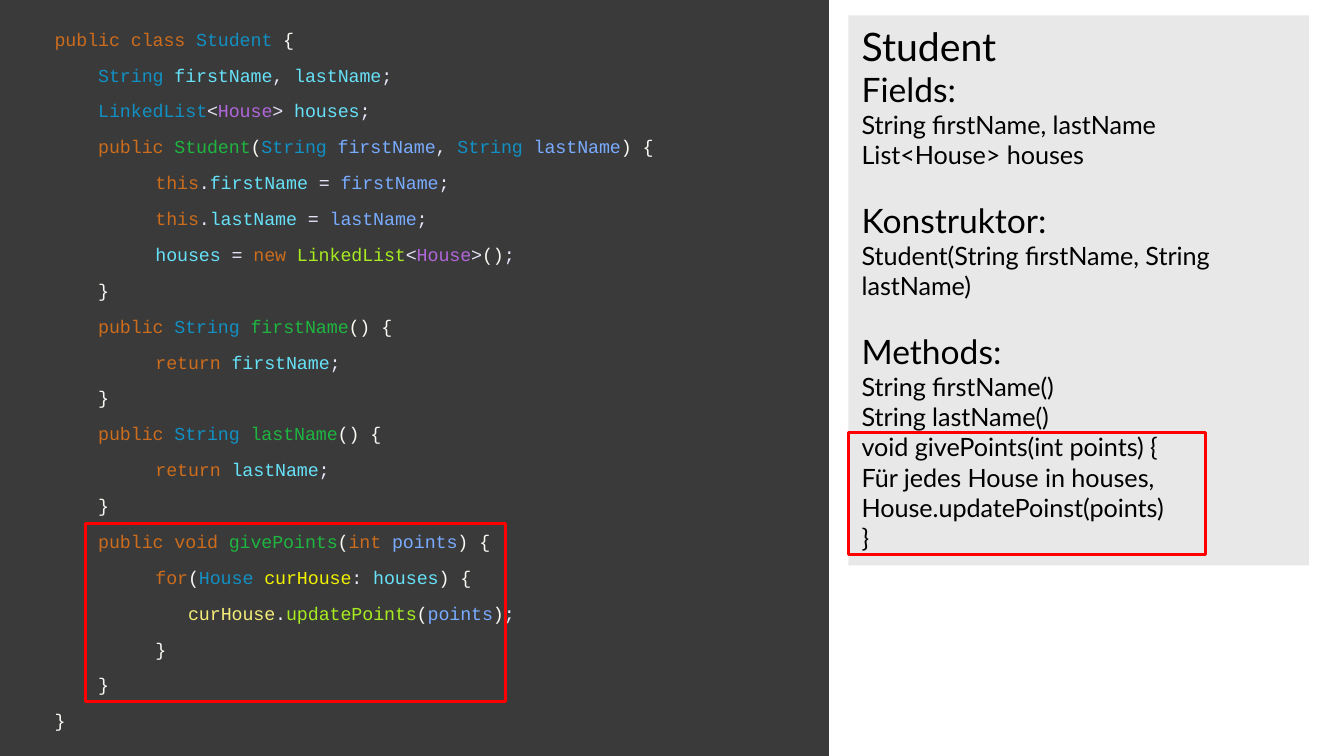
from pptx import Presentation
from pptx.dml.color import RGBColor
from pptx.enum.shapes import MSO_SHAPE as Shape
from pptx.enum.text import MSO_ANCHOR as Anchor, PP_ALIGN as Align
from pptx.oxml.ns import qn
from pptx.util import Pt
from lxml import etree

PX = 9525
COLOURS = {
    "panel": "3A3A3A", "card": "E8E8E8", "frame": "FF0000", "black": "000000",
    "keyword": "CC6C1D", "type": "1290C3", "bracket": "F9FAF4", "symbol": "E6E6FA",
    "field": "66E1F8", "generic": "B166DA", "method": "1EB540", "parameter": "79ABFF",
    "call": "A7EC21", "local": "F2F200", "local_use": "F3EC79",
}
NAMES = ["firstName", "lastName"]


def add_text(paragraph, text, colour="black", font="Lato", size=13.5):
    run = paragraph.add_run()
    run.text = text
    run.font.name = font
    run.font.size = Pt(size)
    run.font.color.rgb = RGBColor.from_string(COLOURS[colour])


def add_box(slide, left, top, width, height, fill=None, line=None):
    shape = slide.shapes.add_shape(
        Shape.RECTANGLE, left * PX, top * PX, width * PX, height * PX)
    shape.shadow.inherit = False
    if fill:
        shape.fill.solid()
        shape.fill.fore_color.rgb = RGBColor.from_string(COLOURS[fill])
    else:
        shape.fill.background()
    if line:
        shape.line.color.rgb = RGBColor.from_string(COLOURS[line])
        shape.line.width = Pt(1.5)
    else:
        shape.line.fill.background()
    return shape


presentation = Presentation()
presentation.slide_width = 960 * PX
presentation.slide_height = 540 * PX
slide = presentation.slides.add_slide(presentation.slide_layouts[6])

add_box(slide, -7, -9, 599, 577, fill="panel")
card = add_box(slide, 606, 11, 329, 393, fill="card")

summary = [
    ("Student", 21, 0),
    ("Fields:", 18, 0),
    ("String firstName, lastName", 13.5, 0),
    ("List<House> houses", 13.5, 0),
    ("Konstruktor:", 18, 16.2),
    ("Student(String firstName, String lastName)", 13.5, 0),
    ("Methods:", 18, 16.2),
    ("String firstName()", 13.5, 0),
    ("String lastName()", 13.5, 0),
    ("void givePoints(int points) {", 13.5, 0),
    ("Für jedes House in houses, House.updatePoinst(points)", 13.5, 0),
    ("}", 13.5, 0),
]
frame = card.text_frame
frame.word_wrap = True
frame.vertical_anchor = Anchor.TOP
for index, (text, size, space) in enumerate(summary):
    paragraph = frame.add_paragraph() if index else frame.paragraphs[0]
    paragraph.alignment = Align.LEFT
    paragraph.space_before = Pt(space)
    add_text(paragraph, text, size=size)

close_method = [("    }", "bracket")]
code = [
    [("public class ", "keyword"), ("Student ", "type"), ("{", "bracket")],
    [("    String ", "type"), ("firstName", "field"), (", ", "symbol"),
     ("lastName", "field"), (";", "symbol")],
    [("    LinkedList", "type"), ("<", "symbol"), ("House", "generic"),
     ("> ", "symbol"), ("houses", "field"), (";", "symbol")],
    [("    public ", "keyword"), ("Student", "method"), ("(", "bracket"),
     ("String ", "type"), ("firstName", "parameter"), (", ", "symbol"),
     ("String ", "type"), ("lastName", "parameter"), (") {", "bracket")],
]
for name in NAMES:
    code.append([("\tthis", "keyword"), (".", "symbol"), (name + " ", "field"),
                 ("= ", "symbol"), (name, "parameter"), (";", "symbol")])
code += [
    [("\thouses ", "field"), ("= ", "symbol"), ("new ", "keyword"),
     ("LinkedList", "call"), ("<", "symbol"), ("House", "generic"),
     (">", "symbol"), ("()", "bracket"), (";", "symbol")],
    close_method,
]
for name in NAMES:
    code += [
        [("    public ", "keyword"), ("String ", "type"), (name, "method"),
         ("() {", "bracket")],
        [("\treturn ", "keyword"), (name, "field"), (";", "symbol")],
        close_method,
    ]
code += [
    [("    public void ", "keyword"), ("givePoints", "method"), ("(", "bracket"),
     ("int ", "keyword"), ("points", "parameter"), (") {", "bracket")],
    [("\tfor", "keyword"), ("(", "bracket"), ("House ", "type"),
     ("curHouse", "local"), (": ", "symbol"), ("houses", "field"), (") {", "bracket")],
    [("\t   curHouse", "local_use"), (".", "symbol"), ("updatePoints", "call"),
     ("(", "bracket"), ("points", "parameter"), (")", "bracket"), (";", "symbol")],
    [("\t}", "bracket")],
    close_method,
    [("}", "bracket")],
]

listing = slide.shapes.add_textbox(32 * PX, 16 * PX, 521 * PX, 508 * PX)
frame = listing.text_frame
frame.word_wrap = True
frame.margin_left = frame.margin_right = 7 * PX
frame.margin_top = frame.margin_bottom = 4 * PX
for index, line in enumerate(code):
    paragraph = frame.add_paragraph() if index else frame.paragraphs[0]
    paragraph.space_before = Pt(7.5 if index else 0)
    tabs = etree.SubElement(paragraph._p.get_or_add_pPr(), qn("a:tabLst"))
    etree.SubElement(tabs, qn("a:tab"), pos=str(72 * PX), algn="l")
    for text, colour in line:
        add_text(paragraph, text, colour=colour, font="Courier New", size=9.75)

add_box(slide, 61, 374, 300, 127, line="frame")
add_box(slide, 606, 309, 255, 87, line="frame")

presentation.save("out.pptx")
